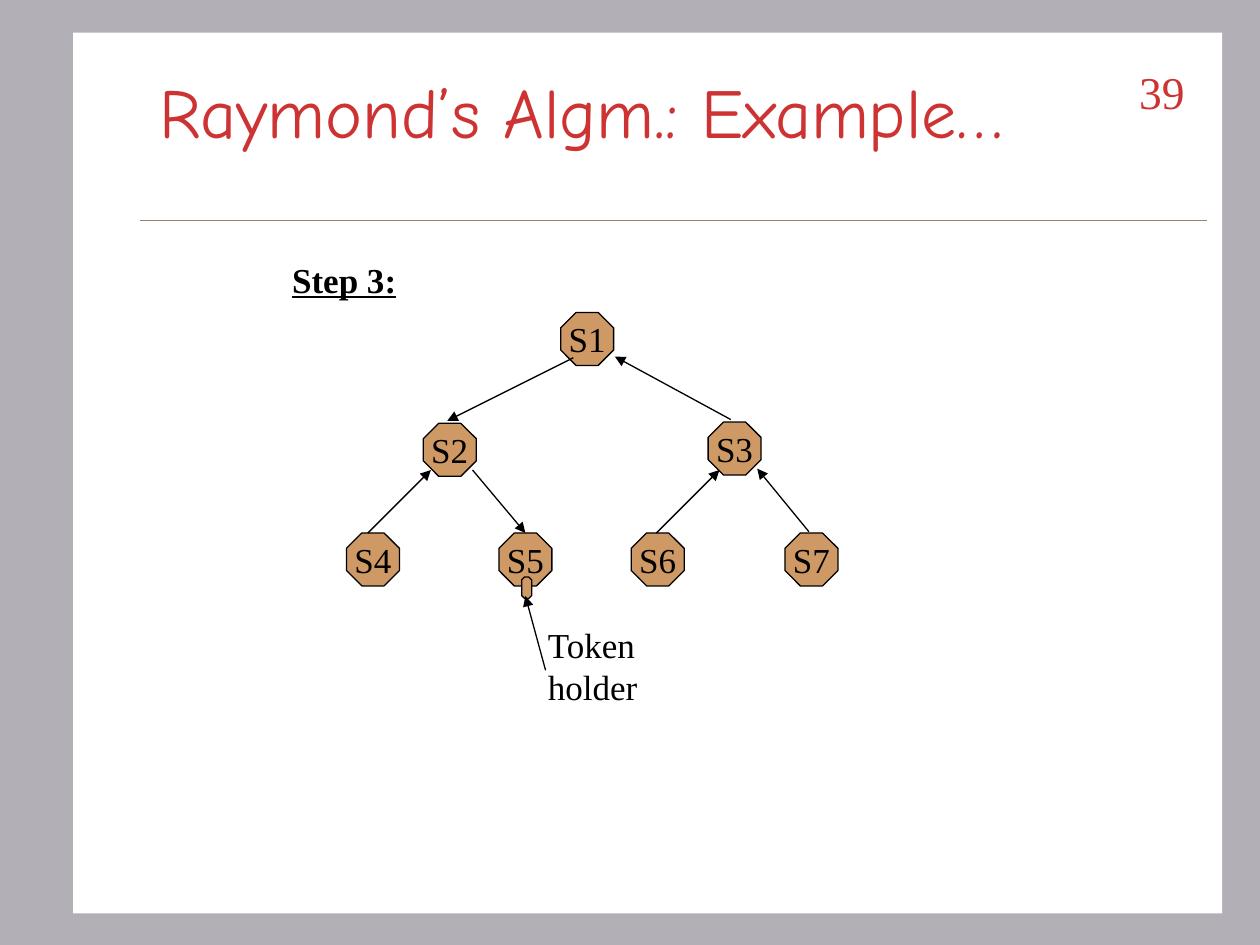
from collections import namedtuple

from lxml import etree
from pptx import Presentation
from pptx.dml.color import RGBColor
from pptx.enum.shapes import MSO_CONNECTOR, MSO_SHAPE
from pptx.enum.text import MSO_ANCHOR, PP_ALIGN
from pptx.oxml.ns import qn
from pptx.util import Inches, Pt

GREY = RGBColor(0xB2, 0xB0, 0xB6)
WHITE = RGBColor(0xFF, 0xFF, 0xFF)
BLACK = RGBColor(0, 0, 0)
RED = RGBColor(0xCD, 0x33, 0x33)
TAN = RGBColor(0xCE, 0x99, 0x64)
BROWN = RGBColor(0xA0, 0x83, 0x66)

OCTAGON = MSO_SHAPE.OCTAGON
RECTANGLE = MSO_SHAPE.RECTANGLE
STRAIGHT = MSO_CONNECTOR.STRAIGHT
LEFT, CENTER, RIGHT = PP_ALIGN.LEFT, PP_ALIGN.CENTER, PP_ALIGN.RIGHT
TOP, MIDDLE = MSO_ANCHOR.TOP, MSO_ANCHOR.MIDDLE

SERIF = "Times New Roman"
HAND = "Comic Neue"
NODE_SIZE = 0.42

Box = namedtuple("Box", "left top width height")

NODES = {
    "S1": (1.7, 0),
    "S2": (0.61, 0.88),
    "S3": (2.87, 0.87),
    "S4": (0, 1.75),
    "S5": (1.21, 1.75),
    "S6": (2.26, 1.75),
    "S7": (3.48, 1.75),
}
ARROWS = [
    ((0.17, 1.75), (0.67, 1.25)),
    ((2.46, 1.75), (2.96, 1.25)),
    ((1, 1.25), (1.42, 1.75)),
    ((3.67, 1.74), (3.26, 1.24)),
    ((1.8, 0.36), (0.8, 0.86)),
    ((3.05, 0.85), (2.13, 0.35)),
    ((1.58, 2.84), (1.42, 2.25)),
]


def write_text(frame, text, font=SERIF, size=20, color=BLACK, align=LEFT,
               anchor=TOP, wrap=False, bold=False, underline=False):
    frame.word_wrap = wrap
    frame.vertical_anchor = anchor
    for index, line in enumerate(text.split("\n")):
        para = frame.paragraphs[0] if index == 0 else frame.add_paragraph()
        para.alignment = align
        span = para.add_run()
        span.text = line
        span.font.name = font
        span.font.size = Pt(size)
        span.font.color.rgb = color
        span.font.bold = bold
        span.font.underline = underline


def add_text(page, box, text, **style):
    frame = page.shapes.add_textbox(*map(Inches, box)).text_frame
    write_text(frame, text, **style)
    return frame


def add_figure(page, kind, box, fill, line=None):
    figure = page.shapes.add_shape(kind, *map(Inches, box))
    figure.shadow.inherit = False
    figure.fill.solid()
    figure.fill.fore_color.rgb = fill
    if line is None:
        figure.line.fill.background()
    else:
        figure.line.color.rgb = line
        figure.line.width = Pt(0.75)
    return figure


def add_octagon(page, box):
    octagon = add_figure(page, OCTAGON, box, TAN, BLACK)
    octagon.adjustments[0] = 0.29
    return octagon


def add_line(page, start, end, color=BLACK, width=0.75, arrow=False):
    line = page.shapes.add_connector(STRAIGHT, *map(Inches, (*start, *end)))
    line.line.color.rgb = color
    line.line.width = Pt(width)
    if arrow:
        outline = line.line._get_or_add_ln()
        etree.SubElement(outline, qn("a:tailEnd"), type="triangle")
    etree.SubElement(line._element.spPr, qn("a:effectLst"))


def draw_panel(page, box):
    page.background.fill.solid()
    page.background.fill.fore_color.rgb = GREY
    add_figure(page, RECTANGLE, box, WHITE)


def draw_header(page, box):
    rule_top = box.top + 1.5
    add_line(page, (box.left - 0.06, rule_top), (box.left + 8.41, rule_top),
             color=BROWN, width=0.25)
    number = add_text(page, (box.left + 7.5, box.top + 0.17, 0.83, 0.5), "39",
                      size=26, color=RED, align=RIGHT, wrap=True)
    number.margin_top = Inches(0.09)
    add_text(page, box, "Raymond’s Algm.: Example…", font=HAND, size=40,
             color=RED, anchor=MIDDLE, wrap=True)


def draw_tree(page, box):
    def place(point):
        return box.left + point[0], box.top + point[1]

    for name, corner in NODES.items():
        node = add_octagon(page, (*place(corner), NODE_SIZE, NODE_SIZE))
        write_text(node.text_frame, name, align=CENTER, anchor=MIDDLE)
    add_octagon(page, (*place((1.39, 2.1)), 0.08, 0.17))
    for start, end in ARROWS:
        add_line(page, place(start), place(end), arrow=True)
    add_text(page, (*place((1.5, 2.42)), 0.91, 0.77), "Token\nholder")


def main():
    deck = Presentation()
    deck.slide_width = Inches(10)
    deck.slide_height = Inches(7.5)
    page = deck.slides.add_slide(deck.slide_layouts[6])
    draw_panel(page, Box(0.58, 0.26, 9.12, 6.99))
    draw_header(page, Box(1.17, 0.25, 8.5, 1.25))
    add_text(page, Box(2.22, 2, 1.03, 0.43), "Step 3:", bold=True, underline=True)
    draw_tree(page, Box(2.75, 2.48, 3.9, 3.19))
    deck.save("out.pptx")


if __name__ == "__main__":
    main()
